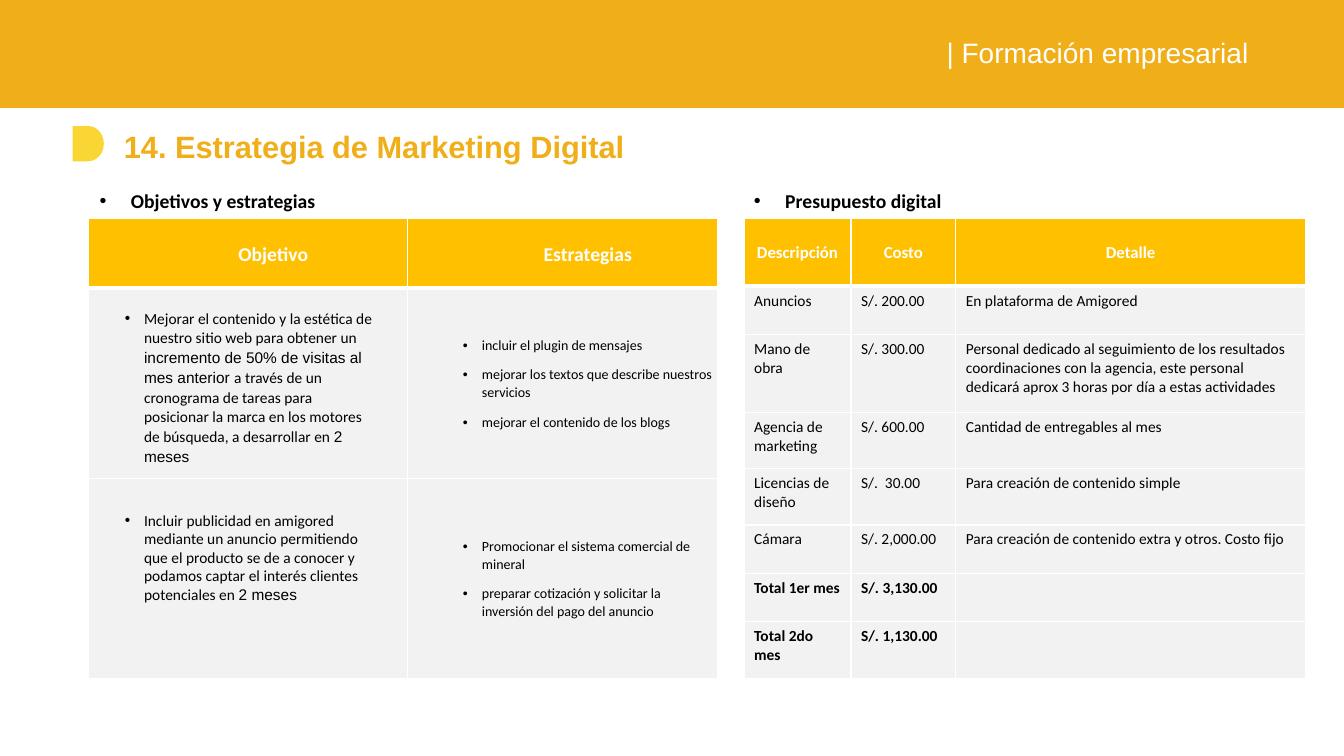
from dataclasses import dataclass

from lxml.etree import SubElement
from pptx import Presentation
from pptx.dml.color import RGBColor as Rgb
from pptx.enum.shapes import MSO_SHAPE as Preset
from pptx.enum.text import MSO_ANCHOR as Anchor, MSO_AUTO_SIZE as AutoSize, PP_ALIGN as Align
from pptx.oxml import parse_xml
from pptx.oxml.ns import nsdecls, qn
from pptx.slide import Slide
from pptx.text.text import TextFrame
from pptx.util import Inches, Pt


@dataclass(frozen=True)
class Theme:
    band: str = "F0AE19"
    marker: str = "FAD634"
    header: str = "FFC000"
    body: str = "F2F2F2"
    white: str = "FFFFFF"
    black: str = "000000"
    sans: str = "Arial"
    text: str = "Calibri"
    title: int = 22
    banner: int = 20
    heading: int = 14
    column: int = 12
    normal: int = 11
    small: int = 10


THEME = Theme()


@dataclass(frozen=True)
class Span:
    """A stretch of text in its own font."""
    text: str
    font: str = THEME.text


@dataclass(frozen=True)
class Box:
    left: float
    top: float
    width: float
    height: float

    def emu(self) -> tuple:
        return tuple(Inches(n) for n in (self.left, self.top, self.width, self.height))


@dataclass(frozen=True)
class Note:
    """A bulleted text box."""
    box: Box
    spans: list
    style: dict


@dataclass(frozen=True)
class Grid:
    """A table: geometry, content, and text formats."""
    box: Box
    columns: list
    rows: list
    content: list
    header_style: dict
    body_style: dict
    side_inset: float = 0.1
    end_inset: float = 0.05
    body_anchor: Anchor = Anchor.TOP
    bold_from: int = 99


def write(frame: TextFrame, paragraphs: list, *, size: int = THEME.normal,
          color: str = THEME.black, bold: bool = False, align: Align = Align.LEFT,
          indent: float = 0, hanging: float = 0, bullet: bool = False,
          line: float = 1, after: float = 0) -> None:
    """Fill a frame; each paragraph is a list of spans."""
    for index, spans in enumerate(paragraphs):
        paragraph = frame.add_paragraph() if index else frame.paragraphs[0]
        paragraph.alignment = align
        paragraph.line_spacing = line
        paragraph.space_after = Pt(after)
        for span in spans:
            run = paragraph.add_run()
            run.text = span.text
            run.font.name, run.font.size, run.font.bold = span.font, Pt(size), bold
            run.font.color.rgb = Rgb.from_string(color)
        props = paragraph._p.get_or_add_pPr()
        props.set("marL", str(Inches(indent)))
        props.set("indent", str(Inches(-hanging)))
        if bullet:
            SubElement(props, qn("a:buFont")).set("typeface", THEME.sans)
            SubElement(props, qn("a:buChar")).set("char", "•")


def add_text(slide: Slide, box: Box, spans: list, inset: float = 0.05, **style) -> None:
    frame = slide.shapes.add_textbox(*box.emu()).text_frame
    frame.word_wrap = True
    frame.auto_size = AutoSize.NONE
    frame.margin_top = frame.margin_bottom = Inches(inset)
    write(frame, [spans], **style)


def add_block(slide: Slide, preset: Preset, box: Box, color: str) -> None:
    block = slide.shapes.add_shape(preset, *box.emu())
    block.shadow.inherit = False
    block.fill.solid()
    block.fill.fore_color.rgb = Rgb.from_string(color)
    block.line.fill.background()


def set_borders(cell, row: int) -> None:
    """White rules, with a thick one under the header row."""
    widths = {"lnL": 1, "lnR": 1, "lnT": 3 if row == 1 else 1, "lnB": 3 if row == 0 else 1}
    props = cell._tc.get_or_add_tcPr()
    for position, (side, width) in enumerate(widths.items()):
        props.insert(position, parse_xml(
            f'<a:{side} {nsdecls("a")} w="{Pt(width)}"><a:solidFill>'
            f'<a:srgbClr val="{THEME.white}"/></a:solidFill></a:{side}>'))


def add_grid(slide: Slide, grid: Grid) -> None:
    table = slide.shapes.add_table(len(grid.rows), len(grid.columns), *grid.box.emu()).table
    table.first_row = table.horz_banding = False
    for column, width in zip(table.columns, grid.columns):
        column.width = Inches(width)
    for r, (height, texts) in enumerate(zip(grid.rows, grid.content)):
        table.rows[r].height = Inches(height)
        for c, text in enumerate(texts):
            cell = table.cell(r, c)
            cell.fill.solid()
            cell.fill.fore_color.rgb = Rgb.from_string(THEME.body if r else THEME.header)
            set_borders(cell, r)
            cell.margin_left = cell.margin_right = Inches(grid.side_inset)
            cell.margin_top = cell.margin_bottom = Inches(grid.end_inset)
            cell.vertical_anchor = grid.body_anchor if r else Anchor.MIDDLE
            if text:
                style = grid.body_style if r else grid.header_style
                write(cell.text_frame, [[Span(part)] for part in text.split("\n")],
                      **{**style, "bold": r == 0 or r >= grid.bold_from})


LOOSE = dict(line=1.07, after=8)
HEADING = dict(size=THEME.heading, bold=True, bullet=True, indent=0.31, hanging=0.31)
COLUMN = dict(color=THEME.white, align=Align.CENTER)

STRATEGIES = Grid(
    Box(0.88, 2.17, 6.24, 4.56), [3.16, 3.08], [0.69, 1.89, 1.98],
    [["Objetivo", "Estrategias"],
     ["", "incluir el plugin de mensajes\nmejorar los textos que describe nuestros servicios\n"
          "mejorar el contenido de los blogs"],
     ["", "Promocionar el sistema comercial de mineral\n"
          "preparar cotización y solicitar la inversión del pago del anuncio"]],
    dict(size=THEME.heading, indent=0.5, **COLUMN, **LOOSE),
    dict(size=THEME.small, bullet=True, indent=0.69, hanging=0.19, **LOOSE),
    side_inset=0.05, end_inset=0, body_anchor=Anchor.MIDDLE)

BUDGET = Grid(
    Box(7.38, 2.17, 5.57, 4.56), [1.06, 1.04, 3.47],
    [0.67, 0.48, 0.77, 0.56, 0.56, 0.48, 0.48, 0.56],
    [["Descripción", "Costo", "Detalle"],
     ["Anuncios", "S/. 200.00", "En plataforma de Amigored"],
     ["Mano de obra", "S/. 300.00",
      "Personal dedicado al seguimiento de los resultados coordinaciones con la agencia, "
      "este personal dedicará aprox 3 horas por día a estas actividades"],
     ["Agencia de marketing", "S/. 600.00", "Cantidad de entregables al mes"],
     ["Licencias de diseño", "S/.  30.00", "Para creación de contenido simple"],
     ["Cámara", "S/. 2,000.00", "Para creación de contenido extra y otros. Costo fijo"],
     ["Total 1er mes", "S/. 3,130.00", ""],
     ["Total 2do mes", "S/. 1,130.00", ""]],
    dict(size=THEME.column, **COLUMN), dict(size=THEME.normal), bold_from=6)

NOTES = [
    Note(Box(0.89, 1.83, 2.73, 0.34), [Span("Objetivos y estrategias")], HEADING),
    Note(Box(7.38, 1.83, 2.73, 0.34), [Span("Presupuesto digital")], HEADING),
    Note(Box(0.64, 3, 3.23, 1.68),
         [Span("Mejorar el contenido y la estética de nuestro sitio web para obtener un "),
          Span("incremento de 50% de visitas al mes anterior ", THEME.sans),
          Span("a través de un cronograma de tareas para posicionar la marca en los motores "
               "de búsqueda, a desarrollar en "),
          Span("2 meses", THEME.sans)],
         dict(bullet=True, indent=0.69, hanging=0.19, **LOOSE)),
    Note(Box(1.14, 5.02, 2.73, 1.03),
         [Span("Incluir publicidad en amigored mediante un anuncio permitiendo que el producto "
               "se de a conocer y podamos captar el interés clientes potenciales en "),
          Span("2 meses", THEME.sans)],
         dict(bullet=True, indent=0.19, hanging=0.19)),
]


def main() -> None:
    deck = Presentation()
    deck.slide_width, deck.slide_height = Inches(13.33), Inches(7.5)
    slide = deck.slides.add_slide(deck.slide_layouts[6])

    # Banner and title
    add_block(slide, Preset.RECTANGLE, Box(0, 0, 13.33, 1.07), THEME.band)
    add_text(slide, Box(9.29, 0.3, 4.04, 0.77), [Span("| Formación empresarial", THEME.sans)],
             size=THEME.banner, color=THEME.white)
    add_block(slide, Preset.FLOWCHART_DELAY, Box(0.72, 1.25, 0.31, 0.35), THEME.marker)
    add_text(slide, Box(1.03, 1.17, 7.39, 0.7),
             [Span("14. Estrategia de Marketing Digital", THEME.sans)], inset=0.1,
             size=THEME.title, color=THEME.band, bold=True, indent=0.1)

    # Tables, then the headings and objectives over them
    for grid in (STRATEGIES, BUDGET):
        add_grid(slide, grid)
    for note in NOTES:
        add_text(slide, note.box, note.spans, **note.style)

    deck.save("out.pptx")


if __name__ == "__main__":
    main()
